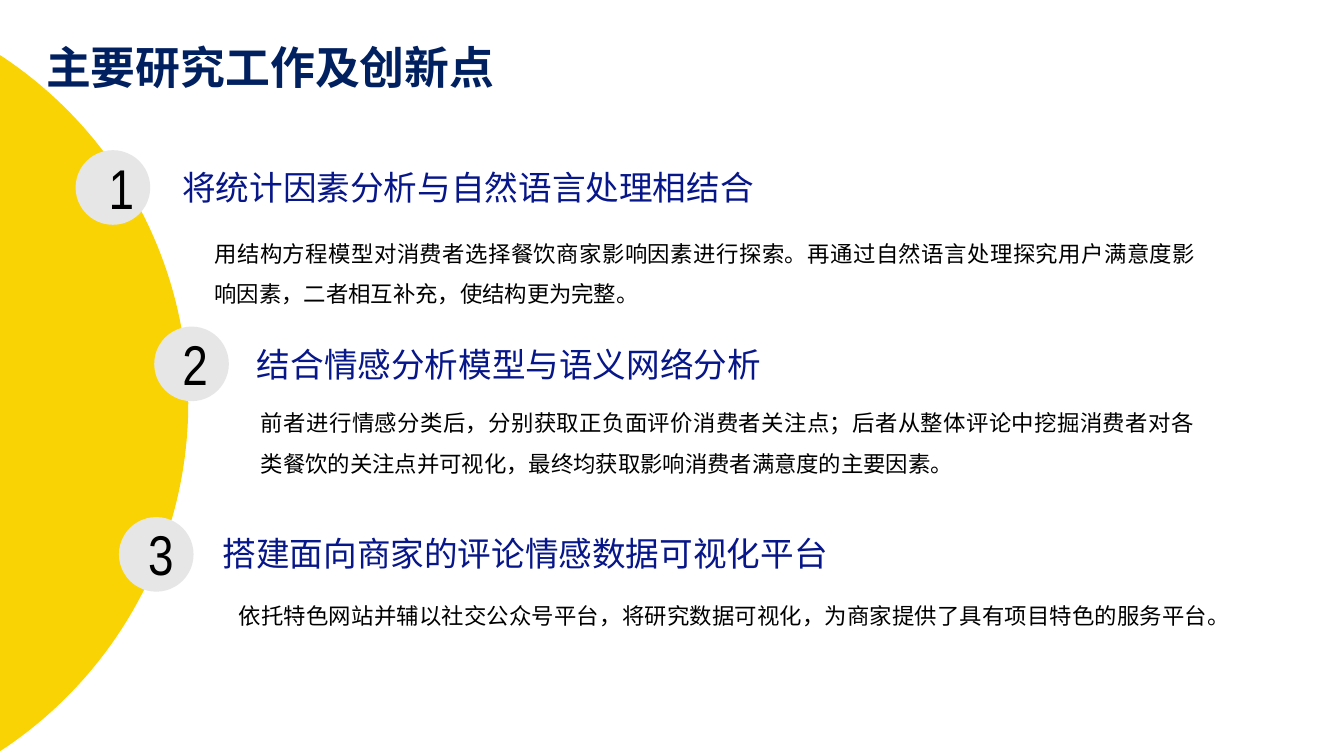
import pptx
import pptx.dml.color
import pptx.enum.shapes
import pptx.enum.text
import pptx.oxml
import pptx.oxml.ns
import pptx.util

Inches = pptx.util.Inches
RGBColor = pptx.dml.color.RGBColor
Align = pptx.enum.text.PP_ALIGN
AutoSize = pptx.enum.text.MSO_AUTO_SIZE

YELLOW = RGBColor(0xF9, 0xD3, 0x03)
GREY = RGBColor(0xE7, 0xE6, 0xE6)
NAVY = RGBColor(0x00, 0x20, 0x60)
BLUE = RGBColor(0x07, 0x16, 0x89)
BLACK = RGBColor(0x00, 0x00, 0x00)

HEADING_FONT = "Noto Sans CJK JP"
BODY_FONT = "Noto Sans CJK SC"
NUMBER_FONT = "Arial Narrow"

# Each point: number, badge (left, top), number left, heading box, body box, heading, body
POINTS = [
    ("1", (0.75, 1.49), 0.98, (1.71, 1.61, 8.32, 0.5), (2.03, 2.2, 9.94, 1.27),
     "将统计因素分析与自然语言处理相结合",
     "用结构方程模型对消费者选择餐饮商家影响因素进行探索。再通过自然语言处理探究用户满意度影响因素，二者相互补充，使结构更为完整。"),
    ("2", (1.53, 3.24), 1.71, (2.45, 3.36, 6.4, 0.5), (2.49, 3.88, 9.46, 1.27),
     "结合情感分析模型与语义网络分析",
     "前者进行情感分类后，分别获取正负面评价消费者关注点；后者从整体评论中挖掘消费者对各类餐饮的关注点并可视化，最终均获取影响消费者满意度的主要因素。"),
    ("3", (1.18, 5.13), 1.37, (2.11, 5.24, 6.61, 0.5), (2.27, 5.79, 9.82, 0.85),
     "搭建面向商家的评论情感数据可视化平台",
     "依托特色网站并辅以社交公众号平台，将研究数据可视化，为商家提供了具有项目特色的服务平台。"),
]


class PageBuilder:
    def __init__(self, page):
        self.page = page

    def circle(self, left, top, diameter, color, outlined=False, parent=None):
        shapes = (parent or self.page).shapes
        circle = shapes.add_shape(
            pptx.enum.shapes.MSO_SHAPE.OVAL,
            Inches(left), Inches(top), Inches(diameter), Inches(diameter))
        circle.shadow.inherit = False
        circle.fill.solid()
        circle.fill.fore_color.rgb = color
        if outlined:
            circle.line.color.rgb = color
            circle.line.width = pptx.util.Pt(1)
        else:
            circle.line.fill.background()

    def text(self, place, words, size, font_name, color, bold=False,
             align=None, spacing=None, parent=None):
        shapes = (parent or self.page).shapes
        box = shapes.add_textbox(*map(Inches, place))
        frame = box.text_frame
        frame.word_wrap = True
        frame.auto_size = AutoSize.SHAPE_TO_FIT_TEXT
        para = frame.paragraphs[0]
        para.text = words
        para.alignment = align
        para.line_spacing = spacing
        font = para.font
        font.size = pptx.util.Pt(size)
        font.bold = bold
        font.color.rgb = color
        font.name = font_name
        self.set_east_asian_font(para, font_name)
        return frame

    def set_east_asian_font(self, para, font_name):
        qn = pptx.oxml.ns.qn
        properties = para._p.find(qn("a:pPr")).find(qn("a:defRPr"))
        east_asian = pptx.oxml.parse_xml(
            f'<a:ea {pptx.oxml.ns.nsdecls("a")} typeface="{font_name}"/>')
        properties.append(east_asian)

    def title(self, words):
        frame = self.text((0.36, 0.4, 5.2, 0.58), words, 32, BODY_FONT, NAVY,
                          bold=True, spacing=0.9)
        frame.auto_size = AutoSize.NONE
        frame.margin_top = frame.margin_bottom = 0
        frame.vertical_anchor = pptx.enum.text.MSO_ANCHOR.MIDDLE

    def badge(self, number, left, top, number_left):
        group = self.page.shapes.add_group_shape()
        self.circle(left, top, 0.74, GREY, parent=group)
        self.text((number_left, top - 0.02, 0.32, 0.77), number, 40,
                  NUMBER_FONT, BLACK, parent=group)

    def heading(self, place, words):
        self.text(place, words, 24, HEADING_FONT, BLUE)

    def body(self, place, words):
        self.text(place, words, 16, BODY_FONT, BLACK,
                  align=Align.JUSTIFY, spacing=1.5)


def main():
    deck = pptx.Presentation()
    deck.slide_width = Inches(13.33)
    deck.slide_height = Inches(7.5)
    builder = PageBuilder(deck.slides.add_slide(deck.slide_layouts[6]))

    builder.circle(-6.38, -0.12, 8.24, YELLOW, outlined=True)
    for number, corner, number_left, heading_place, body_place, heading, body in POINTS:
        builder.heading(heading_place, heading)
        builder.body(body_place, body)
        builder.badge(number, *corner, number_left)
    builder.title("主要研究工作及创新点")

    deck.save("out.pptx")


if __name__ == "__main__":
    main()
